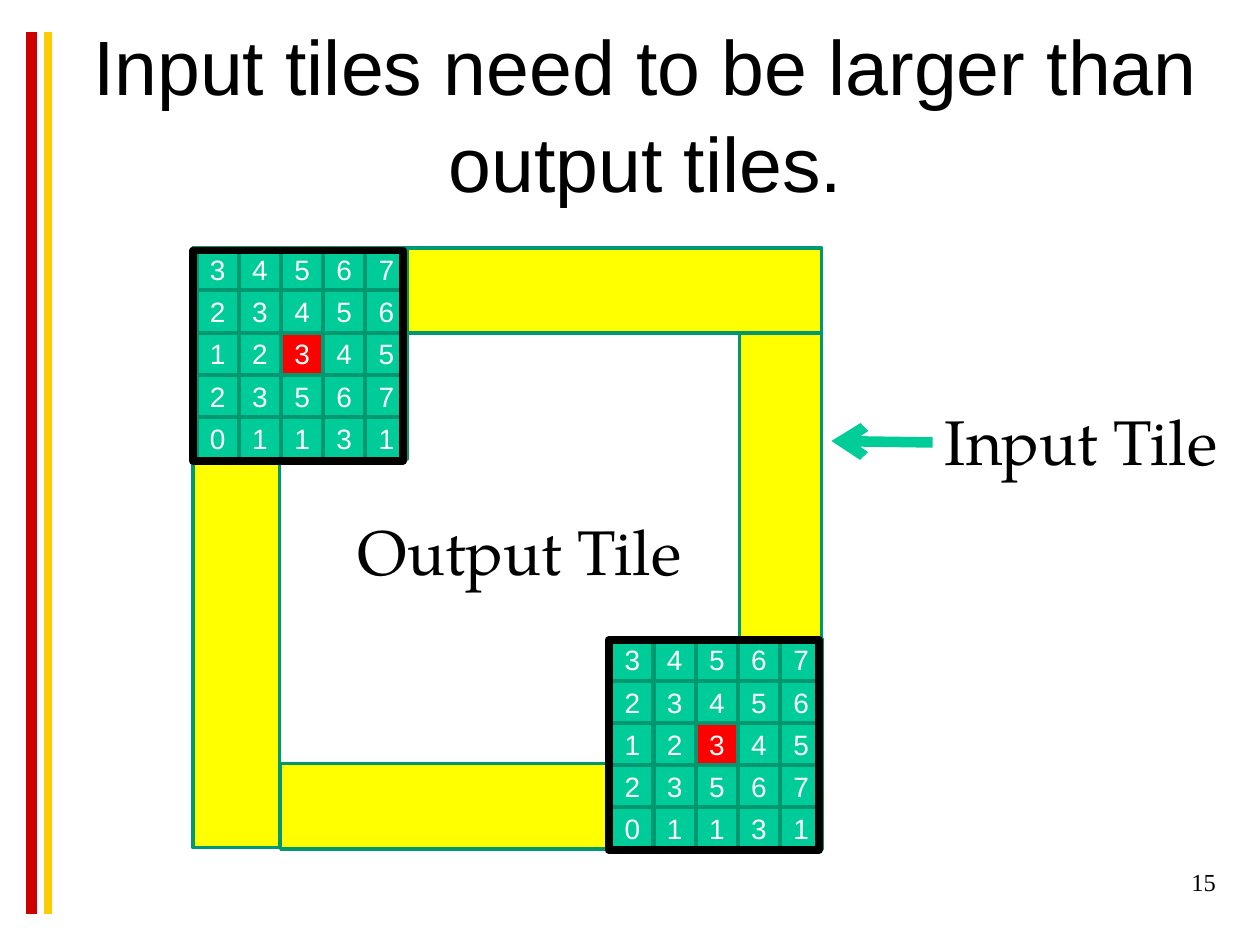
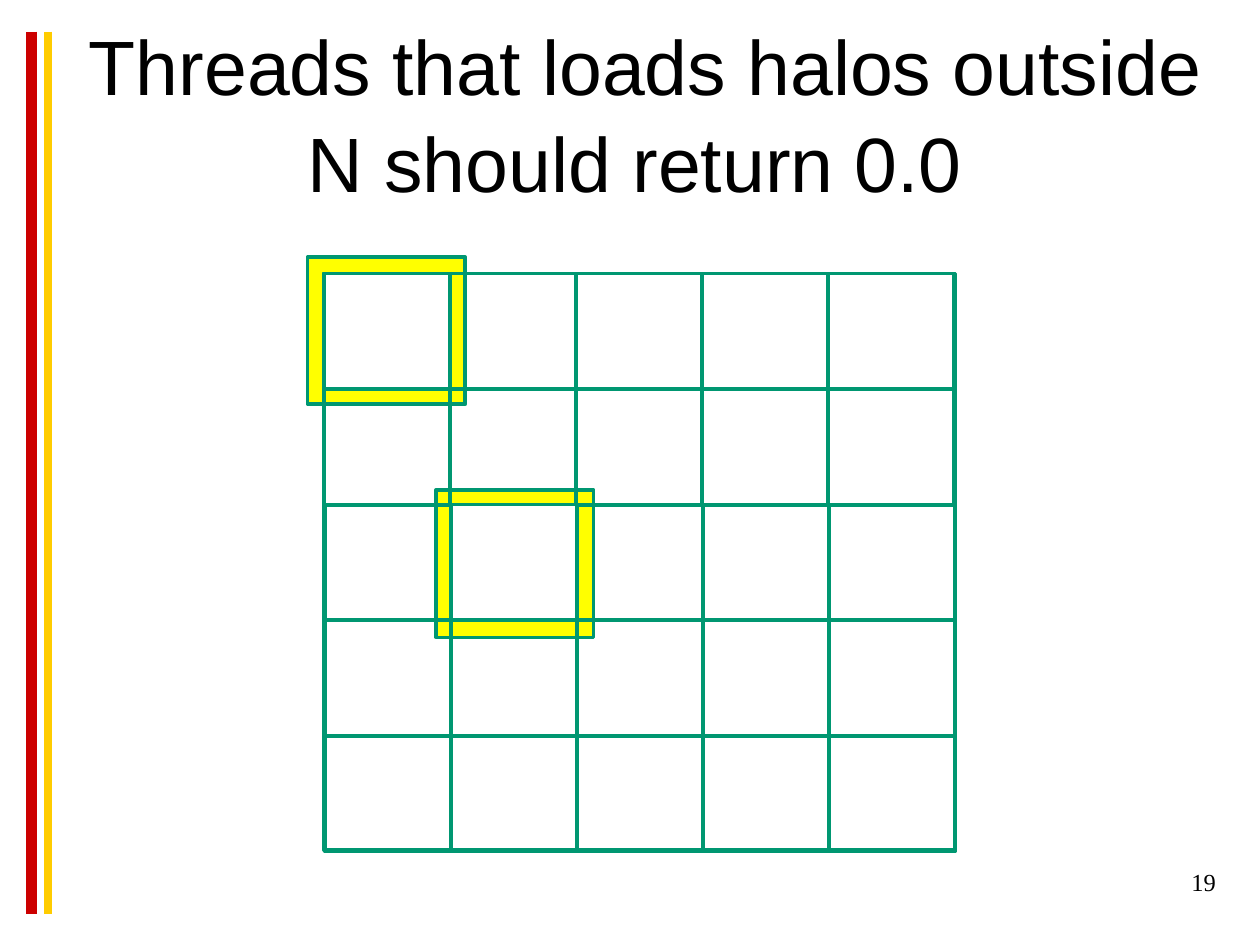
from lxml import etree
from pptx import Presentation
from pptx.dml.color import RGBColor
from pptx.enum import shapes, text
from pptx.oxml.ns import qn
from pptx.util import Cm, Pt

COLORS = {
    "red_band": "CC0000", "gold_band": "FFCC00", "halo": "FFFF00",
    "outline": "009771", "cell": "00CC99", "arrow": "00CC98",
    "center": "FF0000", "black": "000000", "white": "FFFFFF",
}
TITLES = [
    ("Input tiles need to be larger than output tiles.", "15"),
    ("Threads that loads halos outside N should return 0.0 ", "19"),
]


def rgb(name):
    return RGBColor.from_string(COLORS[name])


def add_box(s, left, top, width, height, fill=None, line="outline", weight=2):
    sp = s.shapes.add_shape(shapes.MSO_SHAPE.RECTANGLE,
                            Cm(left), Cm(top), Cm(width), Cm(height))
    sp.shadow.inherit = False
    if fill:
        sp.fill.solid()
        sp.fill.fore_color.rgb = rgb(fill)
    else:
        sp.fill.background()
    sp.line.color.rgb = rgb(line)
    sp.line.width = Pt(weight)
    return sp


prs = Presentation()
prs.slide_width, prs.slide_height = Cm(25.4), Cm(19.05)

# Titles and page numbers
for title, number in TITLES:
    s = prs.slides.add_slide(prs.slide_layouts[5])
    sp = s.shapes.title
    sp.left, sp.top, sp.width, sp.height = Cm(1.27), Cm(1.07), Cm(23.5), Cm(2.34)
    tf = sp.text_frame
    tf.text = title
    tf.auto_size = text.MSO_AUTO_SIZE.NONE
    tf.vertical_anchor = text.MSO_ANCHOR.MIDDLE
    p = tf.paragraphs[0]
    p.alignment = text.PP_ALIGN.CENTER
    p.line_spacing = 1.05
    p.font.name, p.font.size = "Arial", Pt(44)
    p.font.color.rgb = rgb("black")

    tf = s.shapes.add_textbox(Cm(19.48), Cm(17.35), Cm(5.28), Cm(1.27)).text_frame
    tf.word_wrap = True
    p = tf.paragraphs[0]
    p.text = number
    p.alignment = text.PP_ALIGN.RIGHT
    p.font.name, p.font.size = "Times New Roman", Pt(14)
    p.font.color.rgb = rgb("black")

tile_slide, halo_slide = prs.slides

# Side bands (moved to the master) and the arrow to the input tile
for x1, y1, x2, y2, color, weight in [
    (0.64, 0.64, 0.64, 18.42, "red_band", 6),
    (0.97, 0.64, 0.97, 18.42, "gold_band", 4.5),
    (18.8, 8.92, 16.76, 8.89, "arrow", 6),
]:
    line = tile_slide.shapes.add_connector(
        shapes.MSO_CONNECTOR.STRAIGHT, Cm(x1), Cm(y1), Cm(x2), Cm(y2))
    line.line.color.rgb = rgb(color)
    line.line.width = Pt(weight)
    props = line._element.spPr
    etree.SubElement(props, qn("a:effectLst"))
    if color == "arrow":
        etree.SubElement(props.find(qn("a:ln")), qn("a:tailEnd"), type="arrow")
    else:
        tree = prs.slide_master.shapes._spTree
        line._element.nvCxnSpPr.cNvPr.id = 20 + len(tree)
        tree.append(line._element)

# Slide 1: output tile surrounded by its halo
for left, top, width, height, fill in [
    (3.89, 5, 12.67, 1.7, "halo"),
    (5.64, 6.71, 9.27, 8.69, None),
    (5.66, 15.39, 9.19, 1.73, "halo"),
    (3.89, 5, 1.75, 12.09, "halo"),
    (14.91, 6.71, 1.65, 10.44, "halo"),
]:
    add_box(tile_slide, left, top, width, height, fill)

# Slide 1: the same mask at two opposite corners
MASK = ["34567", "23456", "12345", "23567", "01131"]
PITCH = 0.85
for x, y, frame_x, frame_y in [(3.97, 5.01, 3.89, 5.05), (12.33, 12.88, 12.27, 12.9)]:
    for row, digits in enumerate(MASK):
        for col, digit in enumerate(digits):
            fill = "center" if row == col == 2 else "cell"
            sp = add_box(tile_slide, x + col * PITCH, y + row * PITCH, 0.84, 0.84, fill)
            tf = sp.text_frame
            tf.margin_left = tf.margin_right = tf.margin_top = tf.margin_bottom = 0
            tf.word_wrap = False
            tf.vertical_anchor = text.MSO_ANCHOR.MIDDLE
            p = tf.paragraphs[0]
            p.text = digit
            p.alignment = text.PP_ALIGN.CENTER
            p.font.name, p.font.size = "Arial", Pt(16)
            p.font.color.rgb = rgb("white")
    add_box(tile_slide, frame_x, frame_y, 4.24, 4.24, line="black", weight=4.5)

# Slide 1: labels
for label, left, top, width in [("Output Tile", 6.96, 10.21, 7.09),
                                ("Input Tile", 18.8, 7.98, 6.07)]:
    tf = tile_slide.shapes.add_textbox(Cm(left), Cm(top), Cm(width), Cm(1.8)).text_frame
    tf.word_wrap = False
    tf.auto_size = text.MSO_AUTO_SIZE.SHAPE_TO_FIT_TEXT
    p = tf.paragraphs[0]
    p.text = label
    p.font.name, p.font.size = "TeX Gyre Pagella", Pt(36)
    p.font.color.rgb = rgb("black")

# Slide 2: halos behind the grid of tiles
for left, top in [(8.79, 9.88), (6.2, 5.18)]:
    add_box(halo_slide, left, top, 3.18, 2.97, "halo")

add_box(halo_slide, 6.53, 5.51, 12.73, 11.63)
for row in range(5):
    left = 6.53 if row < 2 else 6.55
    for col in range(5):
        fill = "white" if (row, col) in [(0, 0), (2, 1)] else None
        add_box(halo_slide, left + col * 2.54, 5.51 + row * 2.33, 2.54, 2.34, fill)

prs.save("out.pptx")
